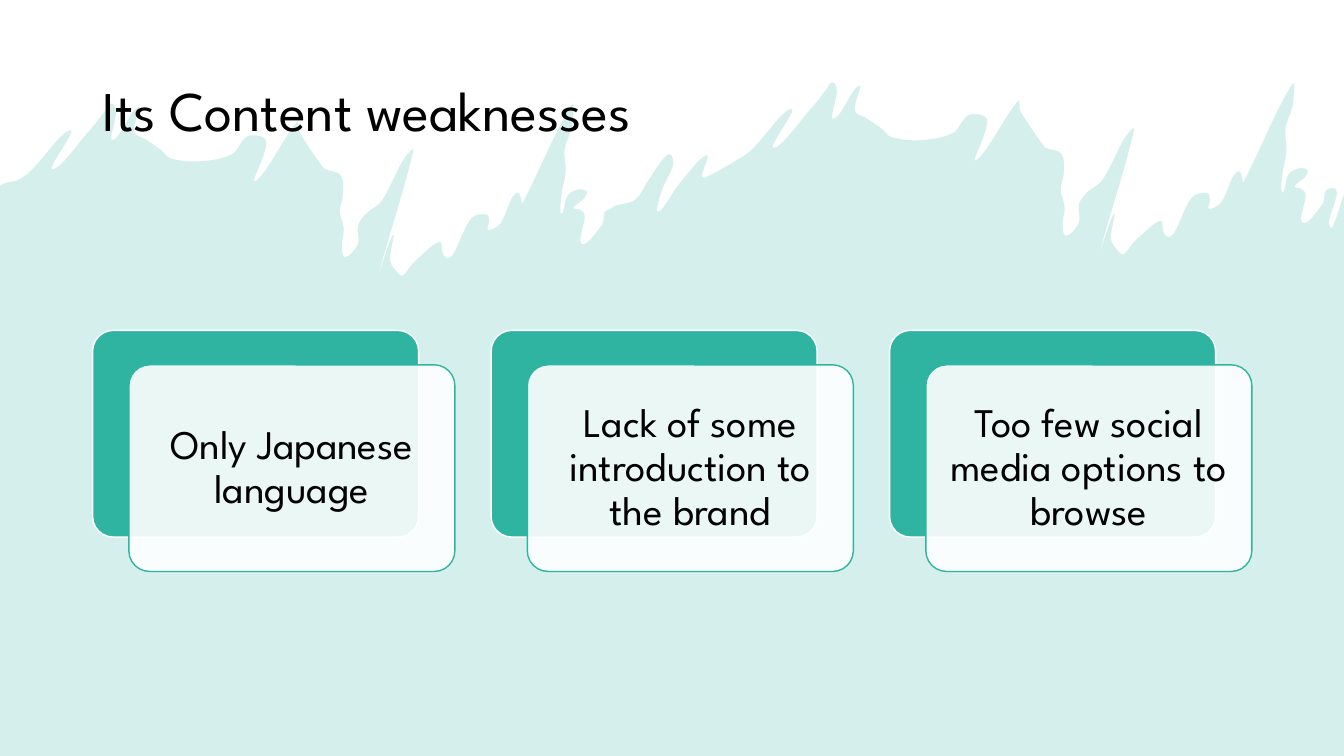
from math import dist, hypot

from lxml import etree
from pptx import Presentation
from pptx.dml.color import RGBColor
from pptx.enum.shapes import MSO_SHAPE as SHAPE
from pptx.enum.text import MSO_ANCHOR as ANCHOR, PP_ALIGN as ALIGN
from pptx.oxml.ns import qn
from pptx.util import Pt

FONT = "League Spartan"
TEAL, WHITE, BLACK = "2FB4A1", "FFFFFF", "000000"
WIDTH, HEIGHT = 960, 540

# Wave outline in hundredths of an inch; the crest occurs twice.
CREST = [
    (30, 170), (70, 129), (52, 168), (90, 128), (105, 109), (109, 103),
    (113, 104), (115, 112), (112, 139), (137, 106), (133, 131), (144, 138),
    (160, 149), (169, 157), (198, 160), (230, 153), (246, 135), (264, 140),
    (253, 180), (295, 121), (297, 131), (321, 167), (323, 168), (338, 174),
    (340, 194), (337, 209), (341, 227), (339, 242), (342, 255), (355, 242),
    (355, 224), (363, 212), (378, 200), (401, 157), (410, 149), (376, 271),
    (390, 233), (387, 259), (397, 273), (400, 273), (409, 262), (415, 256),
    (436, 240), (439, 251), (443, 256), (449, 253), (468, 216), (483, 213),
    (485, 220), (484, 228), (496, 222), (508, 196), (514, 191), (517, 198),
    (518, 202), (567, 104), (567, 126), (560, 148), (561, 171), (557, 193),
    (557, 212), (563, 194), (573, 188), (582, 190), (579, 197), (569, 206),
    (575, 208), (580, 213), (577, 242), (597, 223), (600, 210),
]
LEFT_EDGE = [(0, 184), (7, 181), (17, 179)]
BRIDGE = [
    (606, 207), (610, 204), (627, 200), (634, 194), (643, 179), (663, 153),
    (668, 162), (656, 190), (653, 210), (674, 182), (701, 154), (696, 175),
    (700, 176), (732, 158),
]
RIGHT_EDGE = [(1324, 187), (1326, 192), (1318, 221), (1321, 226), (1333, 193)]
CREST_SHIFT = (715, -21)

WEAKNESSES = [
    "Only Japanese language",
    "Lack of some introduction to the brand",
    "Too few social media options to browse",
]


def rgb(color):
    """Return the colour for a hex string."""
    return RGBColor.from_string(color)


def paint(sp, fill, line=None, alpha=None):
    """Set the fill, outline and opacity (percent) of a shape."""
    sp.shadow.inherit = False
    sp.fill.solid()
    sp.fill.fore_color.rgb = rgb(fill)
    if alpha is not None:
        clr = sp._element.spPr.find(qn("a:solidFill"))[0]
        etree.SubElement(clr, qn("a:alpha")).set("val", str(alpha * 1000))
    if line:
        sp.line.color.rgb = rgb(line)
        sp.line.width = Pt(1)
    else:
        sp.line.fill.background()


def write(sp, text, size, color=BLACK, align=ALIGN.LEFT, inset=(7.2, 3.6)):
    """Write one wrapped, vertically centred paragraph into a shape."""
    tf = sp.text_frame
    tf.word_wrap = True
    tf.vertical_anchor = ANCHOR.MIDDLE
    tf.margin_left = tf.margin_right = Pt(inset[0])
    tf.margin_top = tf.margin_bottom = Pt(inset[1])
    p = tf.paragraphs[0]
    p.alignment = align
    p.line_spacing = 0.9
    r = p.add_run()
    r.text = text
    r.font.name = FONT
    r.font.size = Pt(size)
    r.font.color.rgb = rgb(color)


def slope(before, here, after):
    """Return the direction of the outline at a point, shorter at sharp tips."""
    length = dist(before, here) + dist(here, after)
    dx, dy = [(b - a) / length for a, b in zip(before, after)]
    size = hypot(dx, dy) ** 0.5 or 1
    return dx / size, dy / size


def curve_segments(sp, count):
    """Turn the first straight segments of a freeform into smooth curves."""
    nodes = list(sp._element.iter(qn("a:moveTo"), qn("a:lnTo")))[:count + 1]
    points = [(int(n[0].get("x")), int(n[0].get("y"))) for n in nodes]
    ends = [points[0], *points, points[-1]]
    slopes = [slope(*trio) for trio in zip(ends, points, ends[2:])]
    for i, node in enumerate(nodes[1:]):
        start, end = points[i], points[i + 1]
        reach = dist(start, end) / 3
        handles = [[a + m * reach for a, m in zip(start, slopes[i])],
                   [b - m * reach for b, m in zip(end, slopes[i + 1])]]
        node.tag = qn("a:cubicBezTo")
        for j, (hx, hy) in enumerate(handles):
            pt = etree.Element(qn("a:pt"), x=str(round(hx)), y=str(round(hy)))
            node.insert(j, pt)


def add_wave(shapes, x, y, w, h):
    """Draw the pale wave that fills the lower part of the box."""
    dx, dy = CREST_SHIFT
    shifted = [(px + dx, py + dy) for px, py in CREST]
    top = LEFT_EDGE + CREST + BRIDGE + shifted + RIGHT_EDGE
    unit = w / 1333
    outline = [(x + px * unit, y + py * unit) for px, py in top]
    outline += [(x + w, y + h), (x, y + h)]
    local = [(px * 100, py * 100) for px, py in outline]
    builder = shapes.build_freeform(*local[0], scale=Pt(1) / 100)
    builder.add_line_segments(local[1:], close=True)
    sp = builder.convert_to_shape()
    curve_segments(sp, len(top) - 1)
    paint(sp, TEAL, alpha=20)


def add_title(shapes, text, x, y, w, h):
    """Place the slide title in the box."""
    write(shapes.add_textbox(Pt(x), Pt(y), Pt(w), Pt(h)), text, 40)


def add_card(shapes, text, x, y, w, h):
    """Place a teal card with a captioned white card overlapping it."""
    shift_x, shift_y = 25.9, 24.6
    layers = [(0, 0, TEAL, WHITE, None), (shift_x, shift_y, WHITE, TEAL, 90)]
    for dx, dy, fill, line, alpha in layers:
        sp = shapes.add_shape(SHAPE.ROUNDED_RECTANGLE, Pt(x + dx), Pt(y + dy),
                              Pt(w - shift_x), Pt(h - shift_y))
        sp.adjustments[0] = 0.1
        paint(sp, fill, line, alpha)
    write(sp, text, 29, align=ALIGN.CENTER, inset=(8.6, 8.6))


def add_cards(shapes, texts, x, y, w, h, gap=25.9):
    """Spread the cards evenly across the box."""
    card_w = (w - gap * (len(texts) - 1)) / len(texts)
    for i, text in enumerate(texts):
        add_card(shapes, text, x + i * (card_w + gap), y, card_w, h)


def main():
    """Build and save the slide."""
    prs = Presentation()
    prs.slide_width, prs.slide_height = Pt(WIDTH), Pt(HEIGHT)
    s = prs.slides.add_slide(prs.slide_layouts[6])
    s.background.fill.solid()
    s.background.fill.fore_color.rgb = rgb(WHITE)
    add_wave(s.shapes, 0, 0, WIDTH, HEIGHT)
    add_title(s.shapes, "Its Content weaknesses", 66, 28.8, 828, 104.4)
    add_cards(s.shapes, WEAKNESSES, 66.2, 236, 828, 172.2)
    prs.save("out.pptx")


if __name__ == "__main__":
    main()
